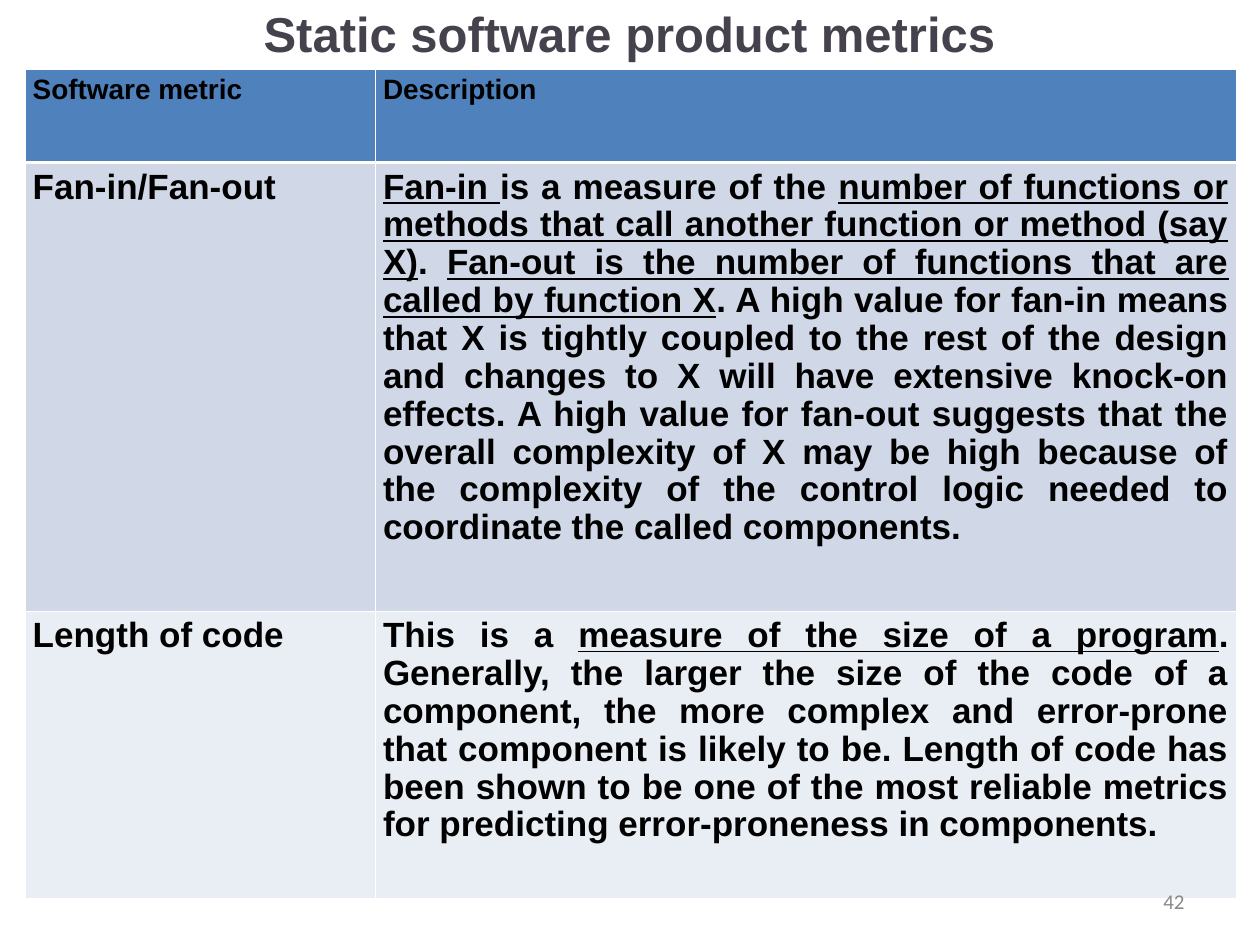
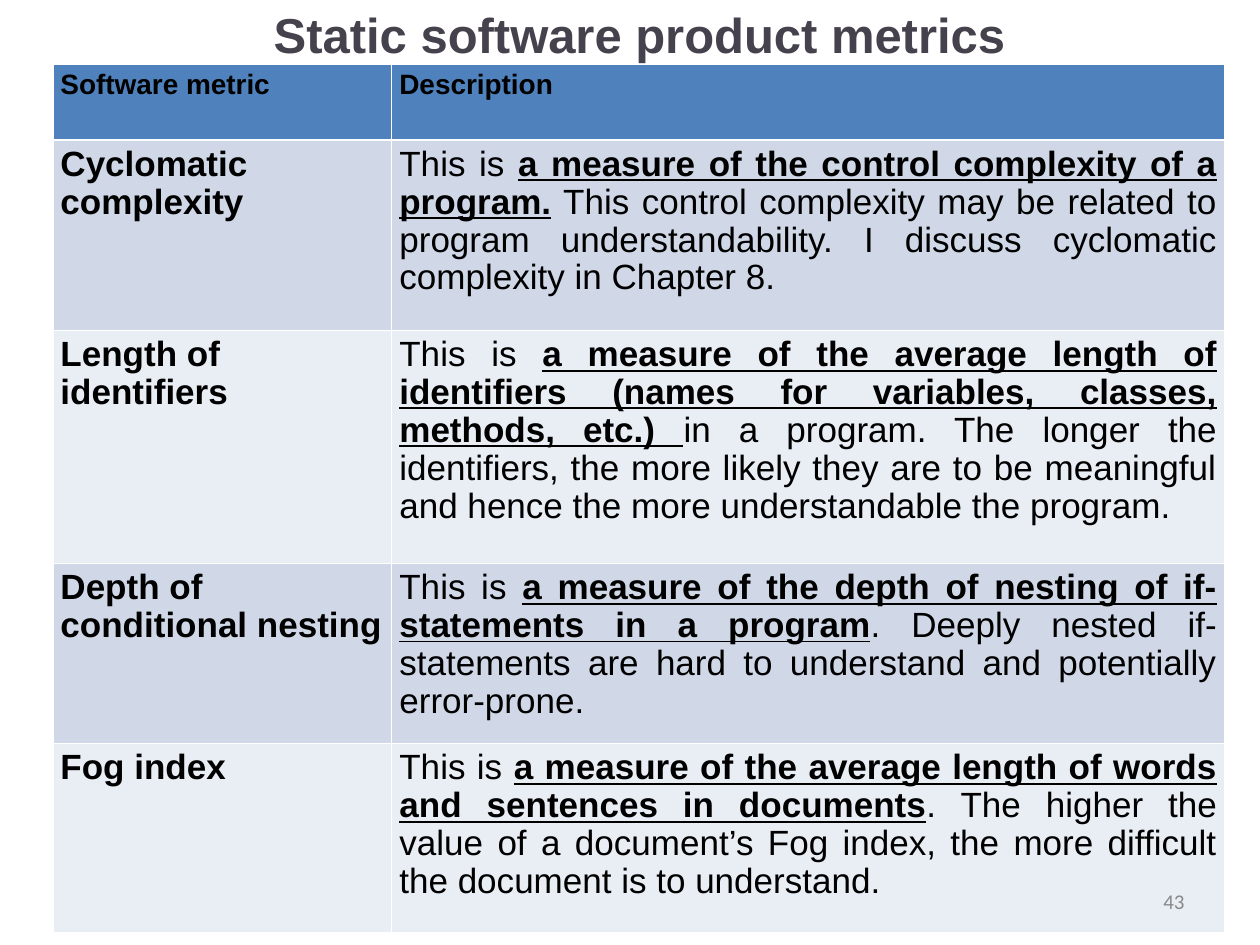
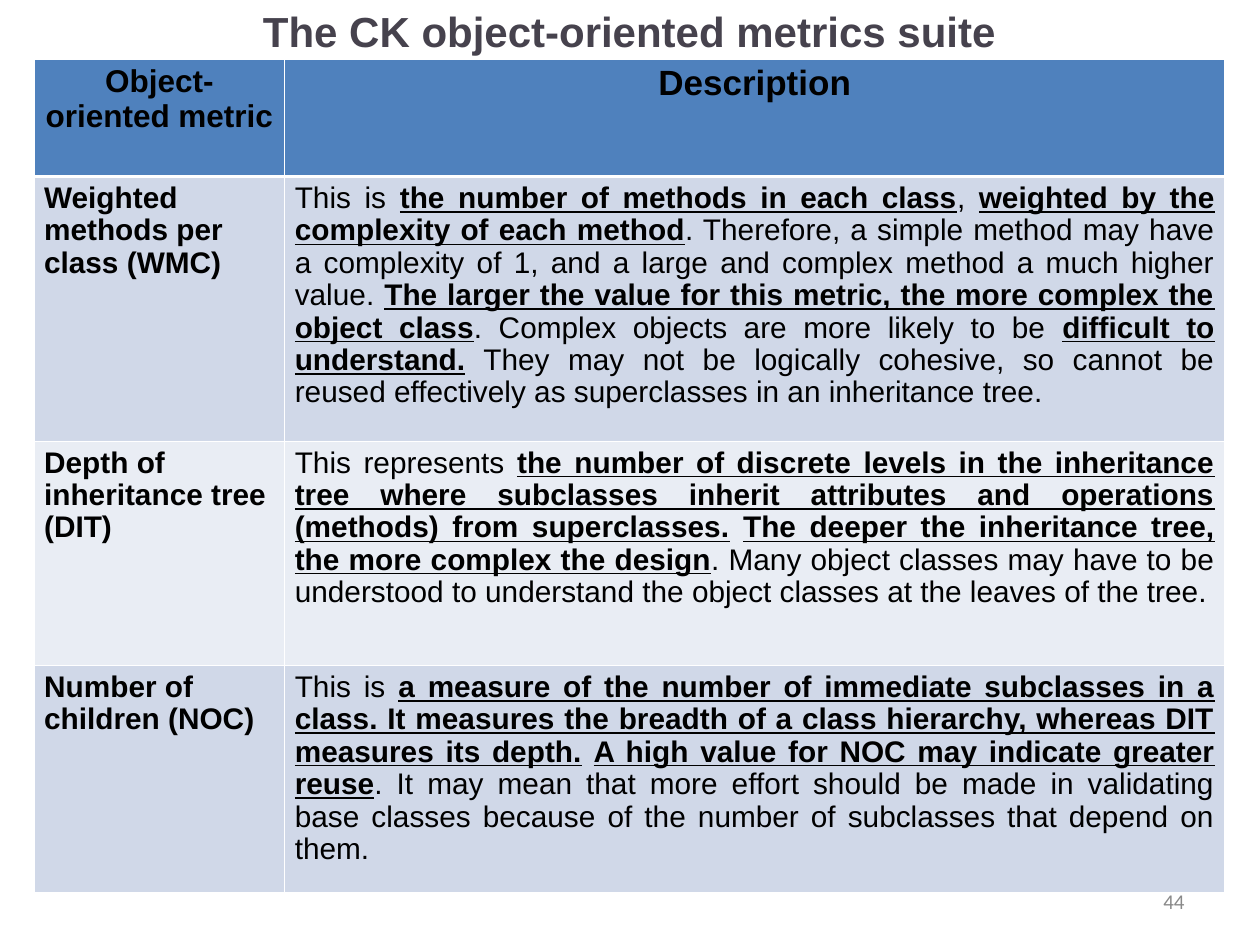
from dataclasses import dataclass

from lxml.etree import SubElement
from pptx import Presentation
from pptx.dml.color import RGBColor
from pptx.enum.text import MSO_ANCHOR as Anchor, MSO_AUTO_SIZE as AutoSize, PP_ALIGN as Align
from pptx.oxml.ns import qn
from pptx.util import Inches, Pt


@dataclass(frozen=True)
class Theme:
    font: str = "Arial"
    number_font: str = "Calibri"
    title: str = "46424D"
    text: str = "000000"
    number: str = "898989"
    header: str = "4F81BD"
    bands: tuple = ("D0D8E8", "E9EDF4")
    border: str = "FFFFFF"
    thin: float = 0.45
    thick: float = 1.47
    number_size: int = 12
    line_spacing: float = 0.97


theme = Theme()
FIRST_NUMBER = 42

# "*" switches underlining on and off within a description.
SLIDES = [
    {
        "title": "Static software product metrics",
        "title_box": (0.31, 0, 9.37, 0.52),
        "title_size": 28,
        "table_box": (0.2, 0.55, 9.61, 6.58),
        "columns": (2.78, 6.83),
        "heights": (0.74, 3.56, 2.28),
        "side_margin": 0.06,
        "header_sizes": (16, 16),
        "header_align": Align.JUSTIFY,
        "body_size": 20,
        "plain_bold": True,
        "rows": [
            ("Software metric", "Description"),
            ("Fan-in/Fan-out",
             "*Fan-in *is a measure of the *number of functions or methods that call another "
             "function or method (say X)*. *Fan-out is the number of functions that are called "
             "by function X*. A high value for fan-in means that X is tightly coupled to the "
             "rest of the design and changes to X will have extensive knock-on effects. A high "
             "value for fan-out suggests that the overall complexity of X may be high because "
             "of the complexity of the control logic needed to coordinate the called components."),
            ("Length of code",
             "This is a *measure of the size of a program*. Generally, the larger the size of "
             "the code of a component, the more complex and error-prone that component is likely "
             "to be. Length of code has been shown to be one of the most reliable metrics for "
             "predicting error-proneness in components."),
        ],
    },
    {
        "title": "Static software product metrics",
        "title_box": (0.43, 0.02, 9.29, 0.5),
        "title_size": 28,
        "table_box": (0.42, 0.51, 9.3, 6.89),
        "columns": (2.69, 6.61),
        "heights": (0.6, 1.51, 1.85, 1.43, 1.5),
        "side_margin": 0.06,
        "header_sizes": (16, 16),
        "header_align": Align.JUSTIFY,
        "body_size": 20,
        "plain_bold": False,
        "rows": [
            ("Software metric", "Description"),
            ("Cyclomatic complexity",
             "This is *a measure of the control complexity of a program.* This control "
             "complexity may be related to program understandability. I discuss cyclomatic "
             "complexity in Chapter 8."),
            ("Length of identifiers",
             "This is *a measure of the average length of identifiers (names for variables, "
             "classes, methods, etc.) *in a program. The longer the identifiers, the more likely "
             "they are to be meaningful and hence the more understandable the program."),
            ("Depth of conditional nesting",
             "This is *a measure of the depth of nesting of if-statements in a program*. Deeply "
             "nested if-statements are hard to understand and potentially error-prone."),
            ("Fog index",
             "This is *a measure of the average length of words and sentences in documents*. The "
             "higher the value of a document’s Fog index, the more difficult the document is to "
             "understand."),
        ],
    },
    {
        "title": "The CK object-oriented metrics suite",
        "title_box": (0.42, 0.01, 9.15, 0.46),
        "title_size": 24,
        "table_box": (0.27, 0.47, 9.45, 6.61),
        "columns": (1.99, 7.46),
        "heights": (0.93, 2.1, 1.78, 1.8),
        "side_margin": 0.08,
        "header_sizes": (18, 20),
        "header_align": Align.CENTER,
        "body_size": 17,
        "plain_bold": False,
        "rows": [
            ("Object-oriented metric", "Description"),
            ("Weighted methods per class (WMC)",
             "This is *the number of methods in each class*, *weighted by the complexity of each "
             "method*. Therefore, a simple method may have a complexity of 1, and a large and "
             "complex method a much higher value. *The larger the value for this metric, the "
             "more complex the object class*. Complex objects are more likely to be *difficult "
             "to understand.* They may not be logically cohesive, so cannot be reused "
             "effectively as superclasses in an inheritance tree."),
            ("Depth of inheritance tree (DIT)",
             "This represents *the number of discrete levels in the inheritance tree where "
             "subclasses inherit attributes and operations (methods) from superclasses.* *The "
             "deeper the inheritance tree, the more complex the design*. Many object classes may "
             "have to be understood to understand the object classes at the leaves of the tree."),
            ("Number of children (NOC)",
             "This is *a measure of the number of immediate subclasses in a class. It measures "
             "the breadth of a class hierarchy, whereas DIT measures its depth.* *A high value "
             "for NOC may indicate greater reuse*. It may mean that more effort should be made "
             "in validating base classes because of the number of subclasses that depend on them."),
        ],
    },
]


def add_run(paragraph, text, size, color, bold=False, underline=False, font=theme.font):
    run = paragraph.add_run()
    run.text = text
    run.font.name = font
    run.font.size = Pt(size)
    run.font.bold = bold
    run.font.underline = underline
    run.font.color.rgb = RGBColor.from_string(color)


def set_borders(cell, row_index):
    properties = cell._tc.get_or_add_tcPr()
    top = theme.thick if row_index == 1 else theme.thin
    bottom = theme.thick if row_index == 0 else theme.thin
    for side, width in (("L", theme.thin), ("R", theme.thin), ("T", top), ("B", bottom)):
        line = SubElement(properties, qn(f"a:ln{side}"), w=str(Pt(width)))
        fill = SubElement(line, qn("a:solidFill"))
        SubElement(fill, qn("a:srgbClr"), val=theme.border)


presentation = Presentation()
presentation.slide_width = Inches(10)
presentation.slide_height = Inches(7.5)
title_only = presentation.slide_layouts[5]

for number, content in enumerate(SLIDES, FIRST_NUMBER):
    slide = presentation.slides.add_slide(title_only)

    title = slide.shapes.title
    title.left, title.top, title.width, title.height = map(Inches, content["title_box"])
    frame = title.text_frame
    frame.auto_size = AutoSize.NONE
    frame.vertical_anchor = Anchor.MIDDLE
    frame.margin_left = frame.margin_right = frame.margin_top = frame.margin_bottom = 0
    frame.paragraphs[0].alignment = Align.CENTER
    add_run(frame.paragraphs[0], content["title"], content["title_size"], theme.title, bold=True)

    rows = content["rows"]
    table = slide.shapes.add_table(len(rows), 2, *map(Inches, content["table_box"])).table
    for column, width in zip(table.columns, content["columns"]):
        column.width = Inches(width)
    for row, height in zip(table.rows, content["heights"]):
        row.height = Inches(height)

    for row_index, texts in enumerate(rows):
        for column_index, text in enumerate(texts):
            cell = table.cell(row_index, column_index)
            is_header = row_index == 0
            is_label = column_index == 0
            set_borders(cell, row_index)
            cell.fill.solid()
            band = theme.header if is_header else theme.bands[(row_index - 1) % 2]
            cell.fill.fore_color.rgb = RGBColor.from_string(band)
            cell.margin_left = cell.margin_right = Inches(content["side_margin"])
            cell.margin_top = cell.margin_bottom = Inches(0.05)

            paragraph = cell.text_frame.paragraphs[0]
            paragraph.line_spacing = theme.line_spacing
            if is_header:
                paragraph.alignment = content["header_align"]
                size = content["header_sizes"][column_index]
            else:
                paragraph.alignment = Align.LEFT if is_label else Align.JUSTIFY
                size = content["body_size"]
            for part_index, part in enumerate(text.split("*")):
                underline = part_index % 2 == 1
                bold = is_header or is_label or underline or content["plain_bold"]
                if part:
                    add_run(paragraph, part, size, theme.text, bold, underline)

    number_box = slide.shapes.add_textbox(Inches(7.17), Inches(6.95), Inches(2.33), Inches(0.4))
    frame = number_box.text_frame
    frame.word_wrap = True
    frame.vertical_anchor = Anchor.MIDDLE
    frame.paragraphs[0].alignment = Align.RIGHT
    add_run(frame.paragraphs[0], str(number), theme.number_size, theme.number,
            font=theme.number_font)

presentation.save("out.pptx")
